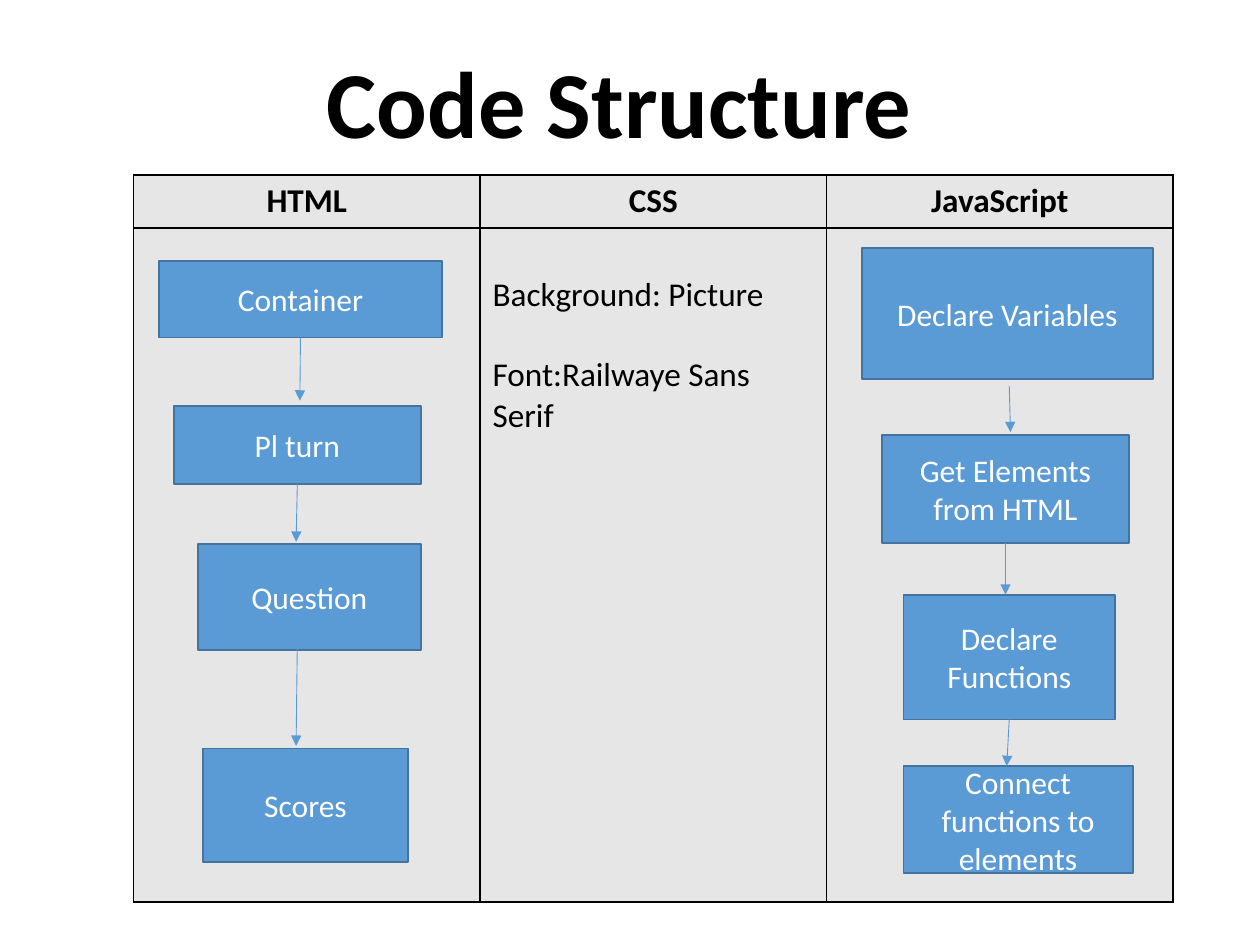
from lxml import etree
from pptx import Presentation
from pptx.dml.color import RGBColor
from pptx.enum.shapes import MSO_CONNECTOR, MSO_SHAPE
from pptx.enum.text import MSO_ANCHOR, PP_ALIGN
from pptx.oxml.ns import qn
from pptx.util import Inches, Pt

RECTANGLE = MSO_SHAPE.RECTANGLE
STRAIGHT = MSO_CONNECTOR.STRAIGHT
CENTER, LEFT = PP_ALIGN.CENTER, PP_ALIGN.LEFT
MIDDLE = MSO_ANCHOR.MIDDLE
BOTTOM_SIDE = 2
FONT = "Calibri"
COLORS = {
    "black": "000000",
    "white": "FFFFFF",
    "cell": "E7E6E6",
    "box": "5B9BD5",
    "outline": "43739E",
}

HEADINGS = ["HTML", "CSS", "JavaScript"]
CSS_NOTES = ["Background: Picture", "Font:Railwaye Sans Serif"]

# Label and left, top, width, height of each step
HTML_STEPS = [
    ("Container", (1.26, 2.07, 2.25, 0.61)),
    ("Pl turn", (1.38, 3.22, 1.96, 0.62)),
    ("Question", (1.57, 4.32, 1.77, 0.84)),
    ("Scores", (1.61, 5.94, 1.63, 0.9)),
]
SCRIPT_STEPS = [
    ("Declare Variables", (6.84, 1.97, 2.31, 1.04)),
    ("Get Elements from HTML", (7, 3.45, 1.96, 0.86)),
    ("Declare\nFunctions", (7.17, 4.72, 1.68, 0.99)),
    ("Connect functions to elements", (7.17, 6.08, 1.82, 0.85)),
]
# Start, end, and whether the arrow is joined to the box above
HTML_ARROWS = [
    ((2.38, 2.7), (2.38, 3.18), True),
    ((2.38, 3.86), (2.35, 4.3), True),
    ((2.36, 5.09), (2.35, 5.92), False),
]
SCRIPT_ARROWS = [
    ((8.01, 3.06), (8.02, 3.43), False),
    ((7.98, 4.3), (7.98, 4.72), True),
    ((7.99, 5.69), (7.99, 6.08), True),
]


def color(name):
    return RGBColor.from_string(COLORS[name])


def format_text(frame, size, color_name, bold=False, align=CENTER):
    for para in frame.paragraphs:
        para.alignment = align
        for span in para.runs:
            span.font.name = FONT
            span.font.size = Pt(size)
            span.font.bold = bold
            span.font.color.rgb = color(color_name)


def add_title(page, text):
    title = page.shapes.title
    title.left, title.top = Inches(0.69), Inches(0.4)
    title.width, title.height = Inches(8.62), Inches(0.91)
    frame = title.text_frame
    frame.text = text
    frame.vertical_anchor = MIDDLE
    frame.paragraphs[0].line_spacing = 0.9
    format_text(frame, 54, "black", bold=True)


def style_cell(cell):
    """Give the cell its borders and then its fill, in schema order."""
    properties = cell._tc.get_or_add_tcPr()
    for side in ("a:lnL", "a:lnR", "a:lnT", "a:lnB"):
        line = etree.SubElement(properties, qn(side), w=str(Pt(1)))
        fill = etree.SubElement(line, qn("a:solidFill"))
        etree.SubElement(fill, qn("a:srgbClr"), val=COLORS["black"])
    cell.fill.solid()
    cell.fill.fore_color.rgb = color("cell")


def add_code_table(page):
    table = page.shapes.add_table(
        2, 3, Inches(1.06), Inches(1.39), Inches(8.25), Inches(5.77)
    ).table
    table.first_row = table.horz_banding = False
    for column in table.columns:
        column.width = Inches(2.75)
    table.rows[0].height = Inches(0.42)
    table.rows[1].height = Inches(5.35)
    for cell in table.iter_cells():
        style_cell(cell)

    for index, heading in enumerate(HEADINGS):
        frame = table.cell(0, index).text_frame
        frame.text = heading
        format_text(frame, 19, "black", bold=True)

    # Notes are set one line apart, starting one line down
    notes = table.cell(1, 1)
    notes.margin_top = Inches(0.37)
    notes.text_frame.text = "\n".join(CSS_NOTES)
    notes.text_frame.paragraphs[1].space_before = Pt(23)
    format_text(notes.text_frame, 19, "black", align=LEFT)


def add_step(page, label, place):
    box = page.shapes.add_shape(RECTANGLE, *map(Inches, place))
    box.shadow.inherit = False
    box.fill.solid()
    box.fill.fore_color.rgb = color("box")
    box.line.color.rgb = color("outline")
    box.line.width = Pt(1)
    frame = box.text_frame
    frame.text = label
    frame.word_wrap = True
    frame.vertical_anchor = MIDDLE
    format_text(frame, 18, "white")
    return box


def add_arrow(page, start, end, source=None):
    arrow = page.shapes.add_connector(STRAIGHT, *map(Inches, start + end))
    if source is not None:
        arrow.begin_connect(source, BOTTOM_SIDE)
    arrow.line.color.rgb = color("box")
    arrow.line.width = Pt(0.5)
    etree.SubElement(arrow.line._get_or_add_ln(), qn("a:tailEnd"), type="triangle")
    etree.SubElement(arrow._element.spPr, qn("a:effectLst"))


def add_flow(page, steps, arrows):
    boxes = [add_step(page, label, place) for label, place in steps]
    for box, (start, end, joined) in zip(boxes, arrows):
        add_arrow(page, start, end, box if joined else None)


def main():
    deck = Presentation()
    deck.slide_width, deck.slide_height = Inches(10), Inches(7.5)
    page = deck.slides.add_slide(deck.slide_layouts[5])

    # Title and table
    add_title(page, "Code Structure ")
    add_code_table(page)

    # Step flows over the outer columns
    add_flow(page, HTML_STEPS, HTML_ARROWS)
    add_flow(page, SCRIPT_STEPS, SCRIPT_ARROWS)

    deck.save("out.pptx")


if __name__ == "__main__":
    main()
